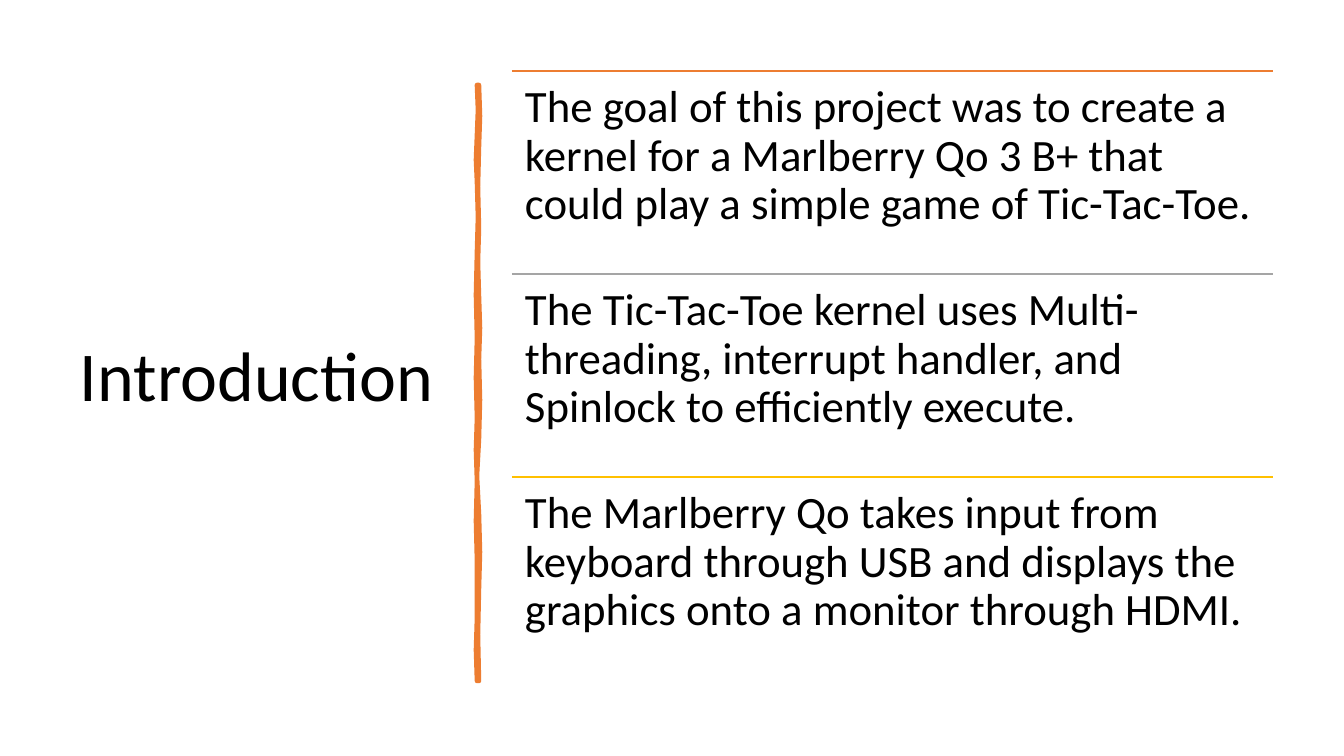
from lxml import etree
from pptx import Presentation
from pptx import util as u
from pptx.dml.color import RGBColor
from pptx.enum import shapes, text
from pptx.oxml import ns

EMU_PER_PX = 914400 / 100.8
FONT = "Calibri"
COLOURS = {
    "ink": "000000",
    "orange": "ED7D31",
    "grey": "A5A5A5",
    "gold": "FFC000",
}
POINTS = [
    ("orange", "The goal of this project was to create a kernel for a "
               "Marlberry Qo 3 B+ that could play a simple game of Tic-Tac-Toe."),
    ("grey", "The Tic-Tac-Toe kernel uses Multi-threading, interrupt handler, "
             "and Spinlock to efficiently execute."),
    ("gold", "The Marlberry Qo takes input from keyboard through USB and "
             "displays the graphics onto a monitor through HDMI."),
]
LIST_LEFT, LIST_TOP, LIST_WIDTH, ROW_HEIGHT = 512, 71, 761, 203

# Hand-drawn divider: down its right edge, then up its left edge.
RIGHT_EDGE = [
    (479, 85), (480, 116), (479, 147), (478, 187), (479, 228), (478, 262),
    (479, 296), (480, 328), (479, 359), (480, 400), (479, 439), (477, 476),
    (479, 514), (480, 552), (479, 589), (478, 635), (479, 681),
]
LEFT_EDGE = [
    (477, 681), (476, 650), (477, 618), (477, 561), (476, 521), (477, 481),
    (476, 450), (477, 418), (476, 378), (477, 338), (476, 295), (477, 252),
    (478, 217), (477, 182), (476, 160), (478, 110), (477, 85),
]


def px(length):
    """Turn pixels into EMU."""
    return u.Emu(round(length * EMU_PER_PX))


def colour(key):
    """Look up a colour by its name."""
    return RGBColor.from_string(COLOURS[key])


def add_text(slide, box, words, size, inset, anchor):
    """Add a wrapped text box holding one paragraph."""
    frame = slide.shapes.add_textbox(*map(px, box)).text_frame
    frame.word_wrap = True
    frame.vertical_anchor = anchor
    frame.margin_left = frame.margin_right = px(inset)
    frame.margin_top = frame.margin_bottom = px(inset)
    paragraph = frame.paragraphs[0]
    paragraph.text = words
    paragraph.line_spacing = 0.9
    paragraph.font.name = FONT
    paragraph.font.size = u.Pt(size)
    paragraph.font.color.rgb = colour("ink")


def add_rule(slide, left, top, width, key):
    """Add a thin horizontal line without a shadow."""
    rule = slide.shapes.add_connector(
        shapes.MSO_CONNECTOR.STRAIGHT,
        px(left), px(top), px(left + width), px(top))
    rule.line.color.rgb = colour(key)
    rule.line.width = u.Pt(1)
    etree.SubElement(rule._element.spPr, ns.qn("a:effectLst"))


def add_divider(slide):
    """Add the wavy upright stroke beside the title."""
    start, *rest = RIGHT_EDGE + LEFT_EDGE
    outline = slide.shapes.build_freeform(*start, scale=EMU_PER_PX)
    outline.add_line_segments(rest, close=True)
    divider = outline.convert_to_shape()
    divider.shadow.inherit = False
    divider.fill.solid()
    divider.fill.fore_color.rgb = colour("orange")
    divider.line.color.rgb = colour("orange")
    divider.line.width = u.Pt(3.25)
    etree.SubElement(divider.line._get_or_add_ln(), ns.qn("a:round"))


def main():
    """Build the slide and save it."""
    deck = Presentation()
    deck.slide_width, deck.slide_height = px(1344), px(756)
    slide = deck.slides.add_slide(deck.slide_layouts[6])

    add_text(slide, (70, 71, 377, 616), "Introduction", 50, 10,
             text.MSO_ANCHOR.MIDDLE)
    add_divider(slide)
    for row, (key, words) in enumerate(POINTS):
        top = LIST_TOP + row * ROW_HEIGHT
        add_rule(slide, LIST_LEFT, top, LIST_WIDTH, key)
        add_text(slide, (LIST_LEFT, top, LIST_WIDTH, ROW_HEIGHT), words, 32,
                 13, text.MSO_ANCHOR.TOP)

    deck.save("out.pptx")


main()
